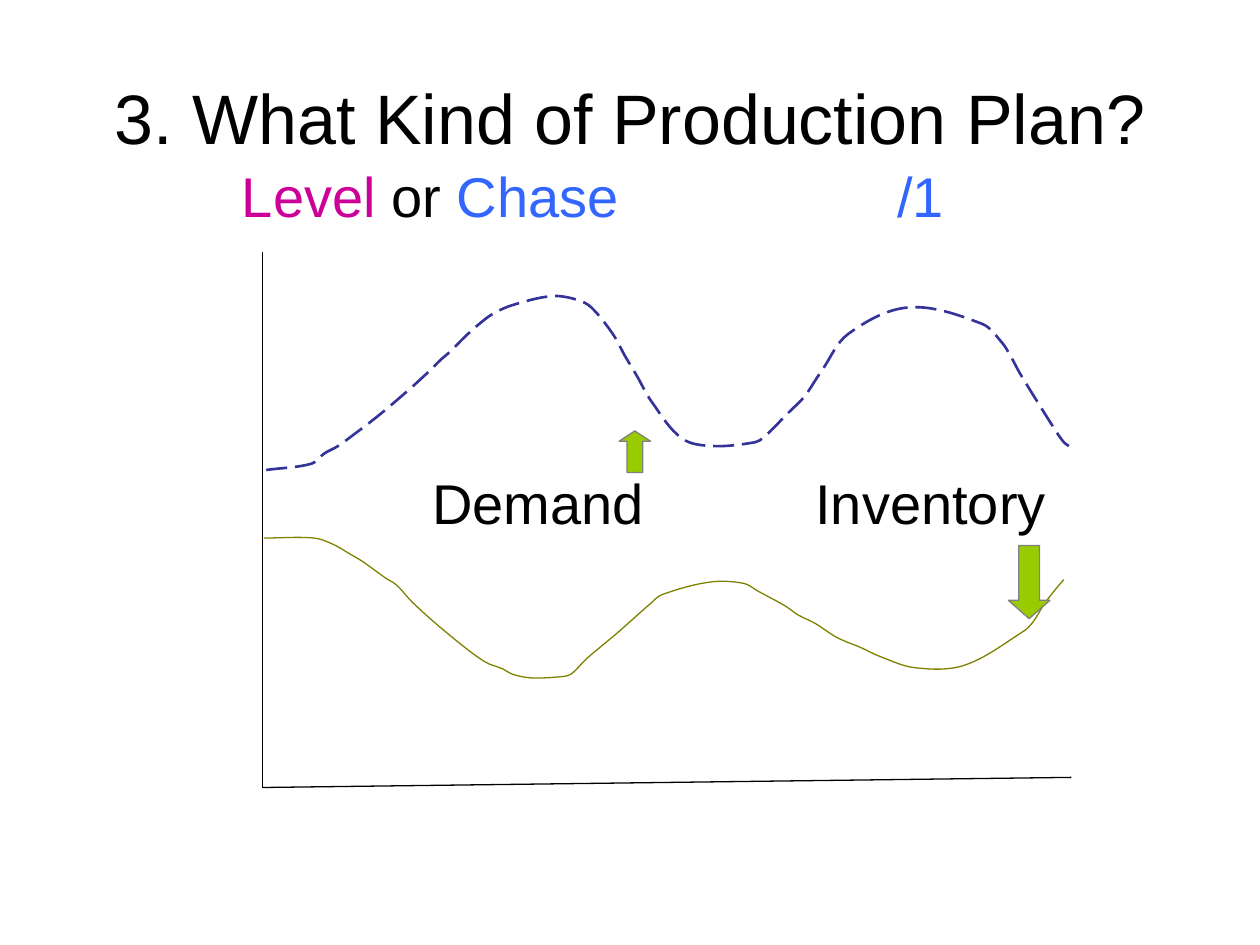
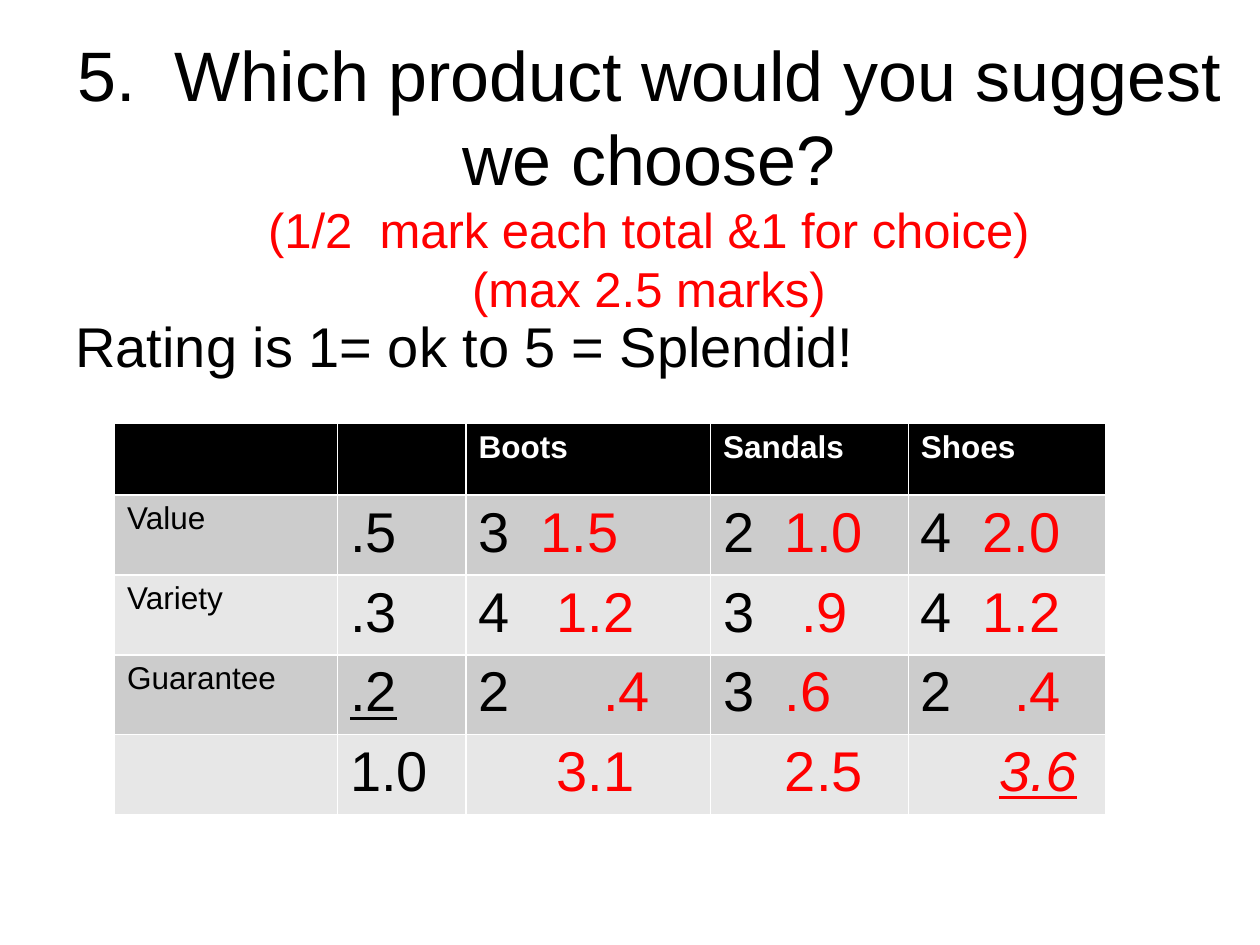
from math import dist

from lxml import etree
from pptx import Presentation
from pptx.dml.color import RGBColor
from pptx.enum.dml import MSO_LINE
from pptx.enum.shapes import MSO_CONNECTOR, MSO_SHAPE
from pptx.enum.text import MSO_ANCHOR, PP_ALIGN
from pptx.oxml.ns import qn
from pptx.util import Inches, Pt

FONT = "Arial"
TITLE_SIZE, BODY_SIZE, NOTE_SIZE, LABEL_SIZE = 40, 32, 28, 18
COLORS = {
    "text": "000000", "white": "FFFFFF", "level": "CC0099", "chase": "3366FF",
    "marks": "FF0000", "demand": "333399", "inventory": "808000",
    "arrow": "99CC00", "arrow_edge": "808080",
    "header": "000000", "odd_row": "CCCCCC", "even_row": "E7E7E7",
}

# Curve points in inches from the top left of the plot
DEMAND = [
    (0.03, 1.73), (0.39, 1.68), (0.49, 1.6), (0.6, 1.54), (0.75, 1.43),
    (0.83, 1.37), (0.98, 1.25), (1.2, 1.06), (1.34, 0.93), (1.41, 0.86),
    (1.49, 0.79), (1.61, 0.67), (1.71, 0.58), (1.83, 0.49), (1.99, 0.42),
    (2.3, 0.35), (2.5, 0.38), (2.61, 0.44), (2.78, 0.65), (2.88, 0.83),
    (2.97, 0.98), (3.09, 1.19), (3.33, 1.48), (3.57, 1.54), (3.91, 1.51),
    (3.98, 1.47), (4.18, 1.27), (4.3, 1.15), (4.4, 1), (4.44, 0.94),
    (4.65, 0.65), (5.13, 0.44), (5.71, 0.57), (5.87, 0.72), (5.94, 0.83),
    (6.01, 0.96), (6.12, 1.14), (6.29, 1.41), (6.36, 1.51), (6.4, 1.54),
]
INVENTORY = [
    (0.01, 2.27), (0.41, 2.27), (0.56, 2.32), (0.7, 2.4), (0.8, 2.46),
    (0.98, 2.59), (1.06, 2.64), (1.2, 2.79), (1.46, 3.02), (1.76, 3.25),
    (1.91, 3.31), (1.98, 3.35), (2.13, 3.38), (2.38, 3.37), (2.45, 3.35),
    (2.57, 3.23), (2.82, 3.02), (3.08, 2.79), (3.17, 2.72), (3.55, 2.62),
    (3.82, 2.63), (3.93, 2.69), (4.15, 2.81), (4.25, 2.88), (4.39, 2.95),
    (4.56, 3.06), (4.75, 3.14), (4.9, 3.21), (5.18, 3.3), (5.57, 3.28),
    (6.04, 3.01), (6.12, 2.93), (6.2, 2.8), (6.3, 2.67), (6.36, 2.6),
]

PRODUCTS = ["Boots", "Sandals", "Shoes"]
# Criterion, weight, then rating, weighted score and score offset per product
RATINGS = [
    ("Value", ".5", [("3", "1.5", 0.49), ("2", "1.0", 0.49), ("4", "2.0", 0.49)]),
    ("Variety", ".3", [("4", "1.2", 0.62), ("3", ".9", 0.62), ("4", "1.2", 0.49)]),
    ("Guarantee", ".2", [("2", ".4", 0.99), ("3", ".6", 0.49), ("2", ".4", 0.74)]),
    ("", "1.0", [("", "3.1", 0.62), ("", "2.5", 0.49), ("", "3.6", 0.62)]),
]


def rgb(name):
    return RGBColor.from_string(COLORS[name])


def style(font, size, color="text"):
    font.name, font.size, font.color.rgb = FONT, Pt(size), rgb(color)


def add_run(paragraph, text, color, size=None):
    """Add text in one colour; each newline becomes a line break."""
    for number, line in enumerate(text.split("\n")):
        if number:
            paragraph.add_line_break()
        if line:
            run = paragraph.add_run()
            run.text = line
            run.font.color.rgb = rgb(color)
            if size:
                run.font.size = Pt(size)


def set_tab(paragraph, inches):
    tabs = etree.SubElement(paragraph._p.get_or_add_pPr(), qn("a:tabLst"))
    etree.SubElement(tabs, qn("a:tab"), pos=str(Inches(inches)), algn="l")


def add_text(slide, box, size=BODY_SIZE, inset=0.1):
    """Add an empty wrapped text box; return its frame and first paragraph."""
    frame = slide.shapes.add_textbox(*map(Inches, box)).text_frame
    frame.word_wrap = True
    frame.margin_left = Inches(inset)
    paragraph = frame.paragraphs[0]
    style(paragraph.font, size)
    return frame, paragraph


def add_title(slide, box, text):
    frame, title = add_text(slide, box, TITLE_SIZE)
    frame.vertical_anchor = MSO_ANCHOR.MIDDLE
    title.alignment = PP_ALIGN.CENTER
    add_run(title, text, "text")
    return title


def add_axis(slide, start, end):
    axis = slide.shapes.add_connector(
        MSO_CONNECTOR.STRAIGHT, *map(Inches, (*start, *end)))
    axis.line.color.rgb = rgb("text")
    axis.line.width = Pt(0.75)
    etree.SubElement(axis._element.spPr, qn("a:effectLst"))


def handle(origin, before, after, length):
    """Point at the given length from origin, along before to after."""
    scale = length / dist(before, after)
    return tuple(o + (a - b) * scale for o, b, a in zip(origin, before, after))


def smooth(curve):
    """Turn the straight segments of a freeform into Bezier segments."""
    outline = curve._element.spPr.find(".//" + qn("a:path"))
    points = [(int(pt.get("x")), int(pt.get("y"))) for pt in outline.iter(qn("a:pt"))]
    padded = [points[0], *points, points[-1]]
    segments = zip(outline.findall(qn("a:lnTo")),
                   padded, padded[1:], padded[2:], padded[3:])
    for line, before, start, end, after in segments:
        third = dist(start, end) / 3
        bezier = etree.Element(qn("a:cubicBezTo"))
        for x, y in (handle(start, before, end, third),
                     handle(end, after, start, third), end):
            etree.SubElement(bezier, qn("a:pt"), x=str(round(x)), y=str(round(y)))
        outline.replace(line, bezier)


def add_curve(slide, left, top, points, color, width):
    start, *rest = [(Inches(left + x), Inches(top + y)) for x, y in points]
    builder = slide.shapes.build_freeform(*start)
    builder.add_line_segments(rest, close=False)
    curve = builder.convert_to_shape()
    smooth(curve)
    curve.shadow.inherit = False
    curve.fill.background()
    curve.line.color.rgb = rgb(color)
    curve.line.width = Pt(width)
    return curve


def add_arrow(slide, kind, box, head):
    arrow = slide.shapes.add_shape(kind, *map(Inches, box))
    arrow.adjustments[1] = head
    arrow.shadow.inherit = False
    arrow.fill.solid()
    arrow.fill.fore_color.rgb = rgb("arrow")
    arrow.line.color.rgb = rgb("arrow_edge")
    arrow.line.width = Pt(0.75)


def add_plot(slide, left, top, width, height):
    """Draw demand and inventory over time with their labels."""
    origin = (left, top + height)
    add_axis(slide, (left, top), origin)
    add_axis(slide, origin, (left + width, top + height - 0.08))
    demand = add_curve(slide, left, top, DEMAND, "demand", 1.5)
    demand.line.dash_style = MSO_LINE.LONG_DASH
    add_curve(slide, left, top, INVENTORY, "inventory", 0.75)

    _, labels = add_text(slide, (left + 1.25, top + 1.67, 5.67, 0.63))
    set_tab(labels, 3.04)
    add_run(labels, "Demand\tInventory", "text")
    add_arrow(slide, MSO_SHAPE.UP_ARROW,
              (left + 2.83, top + 1.42, 0.25, 0.33), 0.33)
    add_arrow(slide, MSO_SHAPE.DOWN_ARROW,
              (left + 5.92, top + 2.33, 0.33, 0.58), 0.44)


def write_cell(cell, text, size, fill, color="text"):
    cell.fill.solid()
    cell.fill.fore_color.rgb = rgb(fill)
    paragraph = cell.text_frame.paragraphs[0]
    style(paragraph.font, size, color)
    if text:
        add_run(paragraph, text, color)
    return paragraph


def add_ratings(slide, left, top):
    """Draw the weighted rating of each product."""
    widths, row_height = [1.77, 1.02, 1.94, 1.57, 1.57], 0.57
    rows = len(RATINGS) + 1
    table = slide.shapes.add_table(
        rows, len(widths), Inches(left), Inches(top),
        Inches(sum(widths)), Inches(rows * row_height)).table
    for column, width in zip(table.columns, widths):
        column.width = Inches(width)

    for column, product in enumerate(["", "", *PRODUCTS]):
        heading = write_cell(table.cell(0, column), product, LABEL_SIZE,
                             "header", "white")
        heading.font.bold = True

    for row, (criterion, weight, scores) in enumerate(RATINGS, 1):
        fill = "odd_row" if row % 2 else "even_row"
        write_cell(table.cell(row, 0), criterion, LABEL_SIZE, fill)
        weight_text = write_cell(table.cell(row, 1), weight, BODY_SIZE, fill)
        if criterion == "Guarantee":
            weight_text.runs[0].font.underline = True
        for column, (rating, score, offset) in enumerate(scores, 2):
            paragraph = write_cell(table.cell(row, column), rating + "\t",
                                   BODY_SIZE, fill)
            set_tab(paragraph, offset)
            add_run(paragraph, score, "marks")
    best = paragraph.runs[-1].font
    best.italic = best.underline = True


def build_plan_slide(slide):
    add_title(slide, (0.5, 0.3, 9, 1.25), "3. What Kind of Production Plan?")
    _, choice = add_text(slide, (0.42, 1.23, 8.58, 0.63), inset=1.5)
    set_tab(choice, 5.2)
    for text, color in [("Level", "level"), (" or ", "text"), ("Chase\t/1", "chase")]:
        add_run(choice, text, color)
    add_plot(slide, 2 + 1 / 12, 2, 6.42, 4.25)


def build_product_slide(slide):
    title = add_title(slide, (0.5, 0.76, 9.3, 1.25),
                      "5.  Which product would you suggest we choose?\n")
    add_run(title, "(1/2  mark each total &1 for choice)\n(max 2.5 marks)",
            "marks", NOTE_SIZE)
    _, scale = add_text(slide, (0.5, 2.42, 9, 0.63))
    add_run(scale, "Rating is 1= ok to 5 = Splendid!", "text")
    add_ratings(slide, 0.91, 3.36)


def main():
    deck = Presentation()
    deck.slide_width, deck.slide_height = Inches(10), Inches(7.5)
    for build in (build_plan_slide, build_product_slide):
        build(deck.slides.add_slide(deck.slide_layouts[6]))
    deck.save("out.pptx")


if __name__ == "__main__":
    main()
